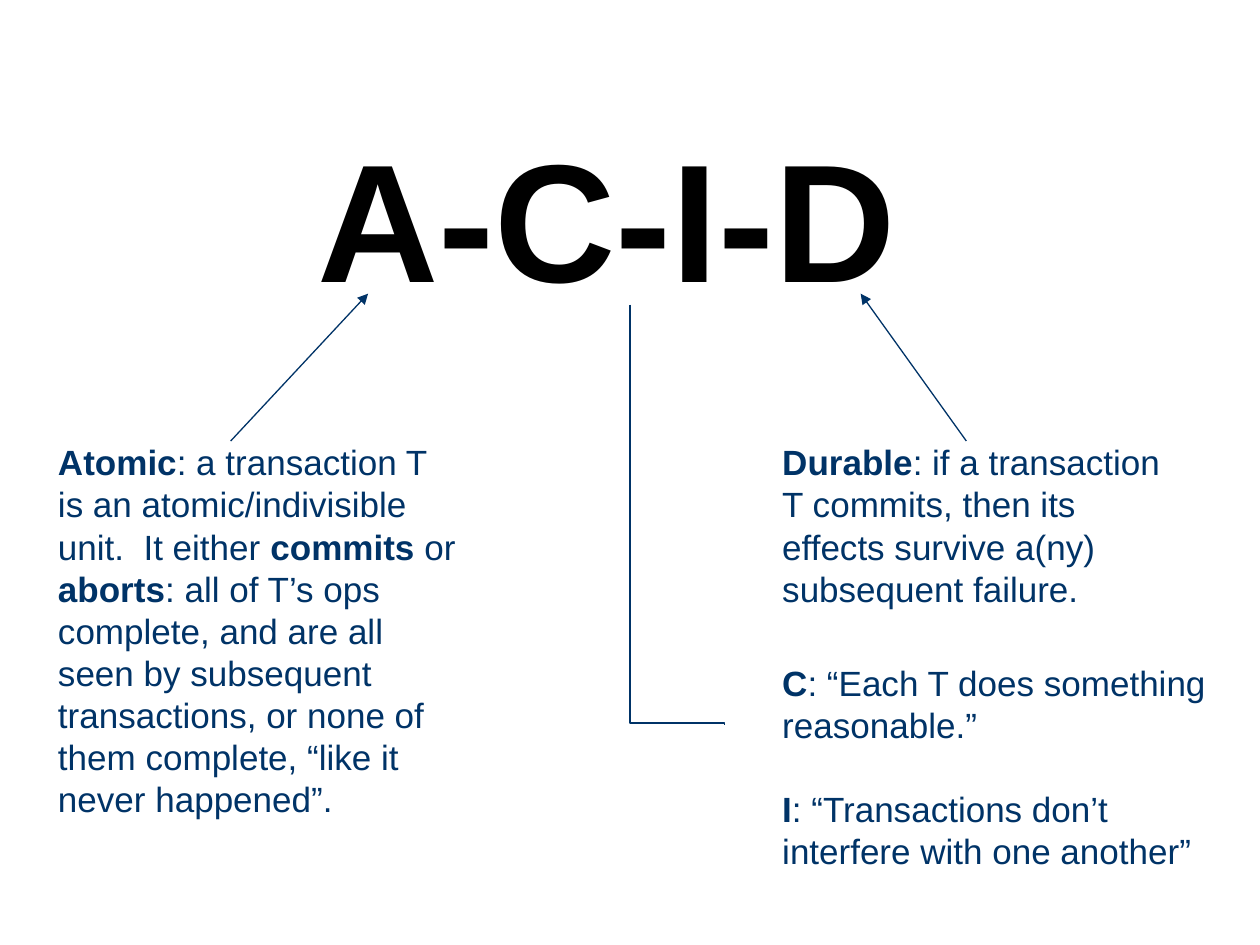
"""Build the A-C-I-D transaction properties slide."""
from dataclasses import dataclass

from lxml.etree import SubElement
from pptx import Presentation
from pptx.dml.color import RGBColor
from pptx.enum.shapes import MSO_CONNECTOR
from pptx.enum.text import MSO_AUTO_SIZE
from pptx.oxml.ns import qn
from pptx.util import Cm, Pt


@dataclass(frozen=True)
class Theme:
    """Colours, font and type sizes in points."""
    font: str = "Arial"
    navy: RGBColor = RGBColor(0x00, 0x33, 0x67)
    black: RGBColor = RGBColor(0x00, 0x00, 0x00)
    title: int = 96
    title_leading: int = 117
    body: int = 20
    body_leading: int = 24
    line: float = 0.75


THEME = Theme()

ATOMIC = [[
    ("Atomic", True),
    (": a transaction T is an atomic/indivisible unit.  It either ", False),
    ("commits", True),
    (" or ", False),
    ("aborts", True),
    (": all of T’s ops complete, and are all seen by subsequent transactions, "
     "or none of them complete, “like it never happened”.", False),
]]
DURABLE = [[
    ("Durable", True),
    (": if a transaction T commits, then its effects survive a(ny) "
     "subsequent failure.", False),
]]
CONSISTENT_ISOLATED = [
    [("C", True), (": “Each T does something reasonable.”", False)],
    [("I", True), (": “Transactions don’t interfere with one another”", False)],
]


def style_paragraph(p, size, leading, color):
    """Set the font and line spacing of a paragraph."""
    p.font.name = THEME.font
    p.font.size = Pt(size)
    p.font.color.rgb = color
    p.line_spacing = Pt(leading)


def add_title(s, text, left, top, width, height):
    """Add the large bold heading."""
    tf = s.shapes.add_textbox(Cm(left), Cm(top), Cm(width), Cm(height)).text_frame
    tf.word_wrap = False
    tf.auto_size = MSO_AUTO_SIZE.SHAPE_TO_FIT_TEXT
    p = tf.paragraphs[0]
    p.text = text
    style_paragraph(p, THEME.title, THEME.title_leading, THEME.black)
    p.font.bold = True


def add_note(s, paragraphs, left, top, width, height):
    """Add a wrapped note whose runs are (text, bold) pairs."""
    tf = s.shapes.add_textbox(Cm(left), Cm(top), Cm(width), Cm(height)).text_frame
    tf.word_wrap = True
    tf.margin_left = tf.margin_right = Cm(0.1)
    tf.margin_top = tf.margin_bottom = 0
    for i, runs in enumerate(paragraphs):
        p = tf.add_paragraph() if i else tf.paragraphs[0]
        style_paragraph(p, THEME.body, THEME.body_leading, THEME.navy)
        if i:
            p.space_before = Pt(THEME.body_leading)
        for text, bold in runs:
            r = p.add_run()
            r.text = text
            r.font.bold = bold


def add_line(s, kind, start, end):
    """Add a thin navy connector without a shadow."""
    sp = s.shapes.add_connector(kind, *map(Cm, start + end))
    sp.line.color.rgb = THEME.navy
    sp.line.width = Pt(THEME.line)
    SubElement(sp._element.spPr, qn("a:effectLst"))
    return sp


def add_arrow(s, start, end):
    """Add a straight arrow pointing at its end."""
    sp = add_line(s, MSO_CONNECTOR.STRAIGHT, start, end)
    SubElement(sp.line._get_or_add_ln(), qn("a:tailEnd"), type="triangle")


def add_drop_elbow(s, start, end, bend):
    """Add an elbow that falls from start and turns at the bend fraction."""
    (x1, y1), (x2, y2) = start, end
    cx, cy = (x1 + x2) / 2, (y1 + y2) / 2
    dx, dy = (y2 - y1) / 2, (x2 - x1) / 2
    sp = add_line(s, MSO_CONNECTOR.ELBOW, (cx + dx, cy - dy), (cx - dx, cy + dy))
    spPr = sp._element.spPr
    spPr.find(qn("a:xfrm")).set("rot", str(270 * 60000))
    geom = spPr.find(qn("a:prstGeom"))
    av = geom.find(qn("a:avLst"))
    if av is None:
        av = SubElement(geom, qn("a:avLst"))
    SubElement(av, qn("a:gd"), name="adj1", fmla=f"val {round(bend * 100000)}")


def main():
    """Build and save the slide."""
    prs = Presentation()
    prs.slide_width, prs.slide_height = Cm(25.4), Cm(19.05)
    s = prs.slides.add_slide(prs.slide_layouts[6])
    left, right, top = 1.07, 15.67, 8.89
    add_title(s, "A-C-I-D", 6.15, 2.11, 12.29, 4.37)
    add_note(s, ATOMIC, left, top, 8.26, 8.05)
    add_arrow(s, (4.65, top), (7.42, 5.92))
    add_note(s, DURABLE, right, top, 8.26, 8.05)
    add_arrow(s, (19.48, top), (17.35, 5.92))
    add_drop_elbow(s, (12.7, 6.14), (14.61, 14.61), 0.996)
    add_note(s, CONSISTENT_ISOLATED, right, 13.34, 9.1, 4.66)
    prs.save("out.pptx")


if __name__ == "__main__":
    main()
